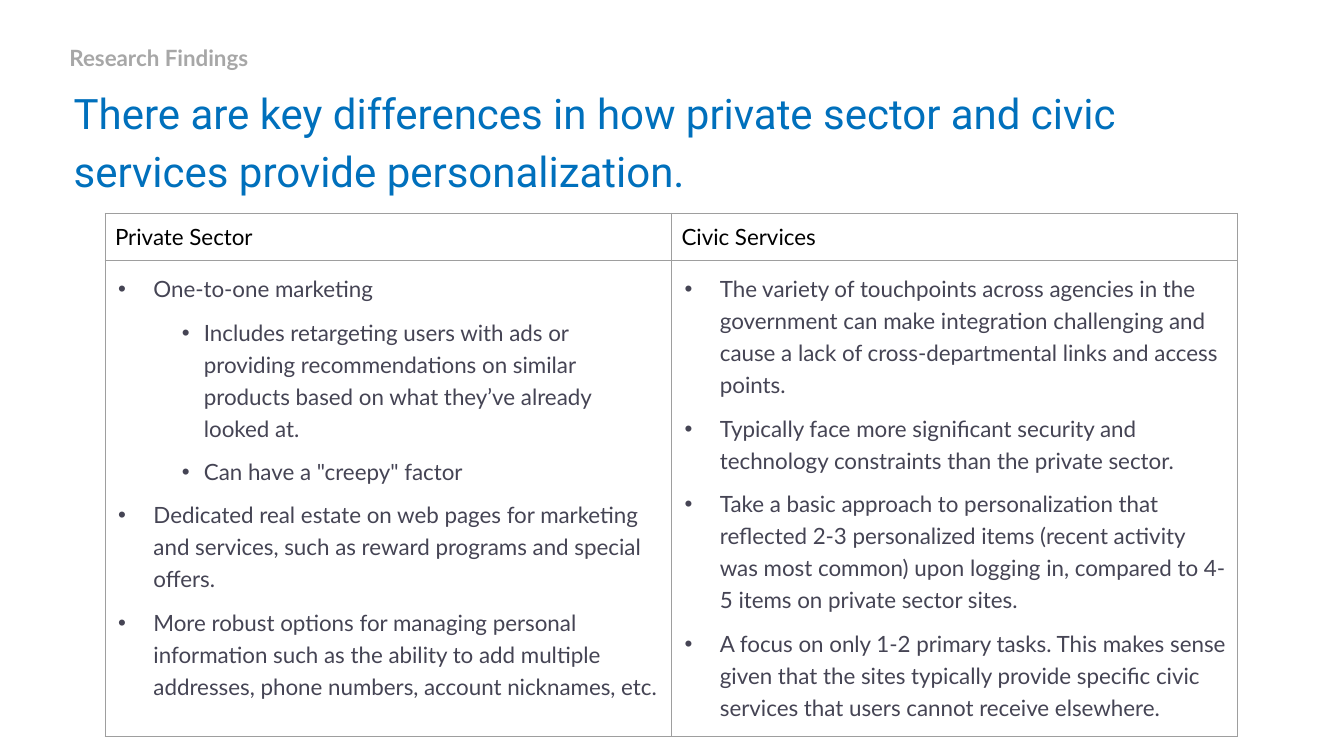
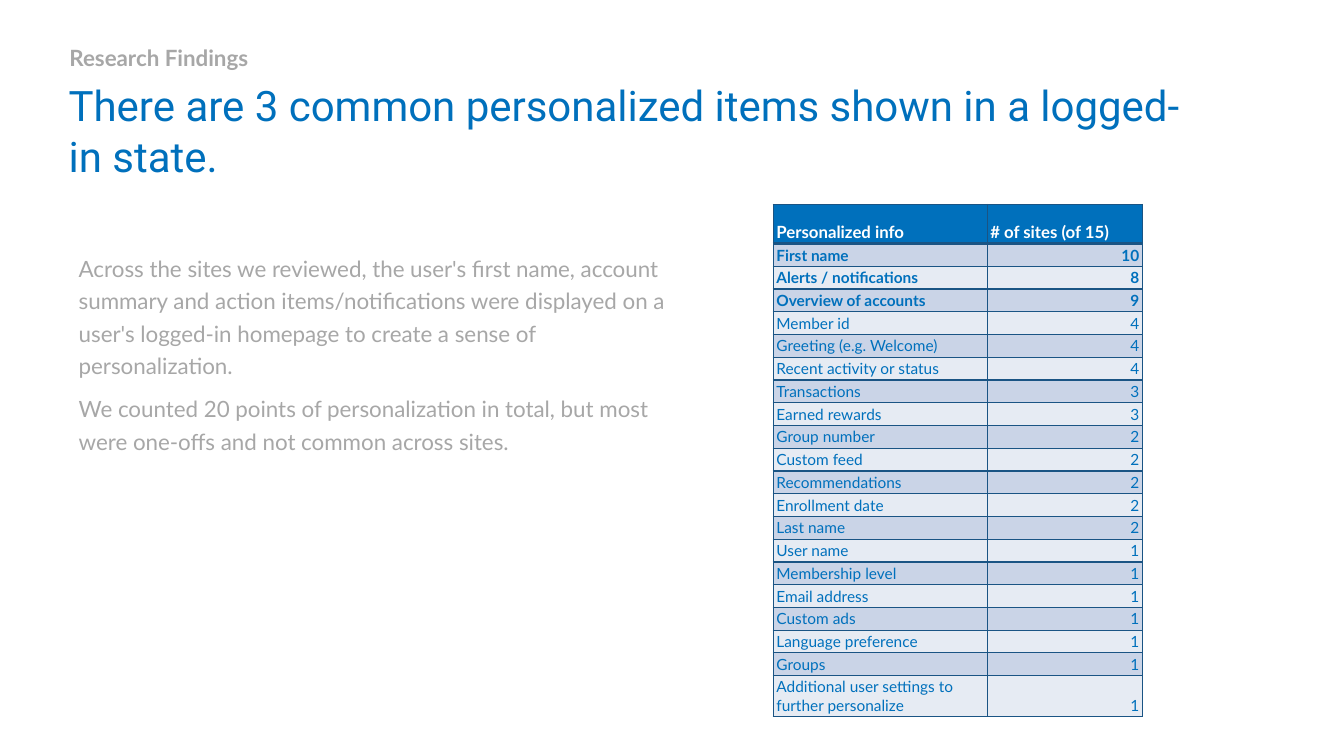
from lxml import etree
from pptx import Presentation
from pptx.dml.color import RGBColor
from pptx.enum.text import MSO_ANCHOR, MSO_AUTO_SIZE, PP_ALIGN
from pptx.oxml.ns import qn
from pptx.util import Pt

TOP, MIDDLE, BOTTOM = MSO_ANCHOR.TOP, MSO_ANCHOR.MIDDLE, MSO_ANCHOR.BOTTOM
LEFT, RIGHT = PP_ALIGN.LEFT, PP_ALIGN.RIGHT
NO_AUTOFIT = MSO_AUTO_SIZE.NONE

BLUE = RGBColor(0x00, 0x70, 0xBC)
GREY = RGBColor(0xA7, 0xA7, 0xA7)
SLATE = RGBColor(0x45, 0x44, 0x54)
BLACK = RGBColor(0x00, 0x00, 0x00)
WHITE = RGBColor(0xFF, 0xFF, 0xFF)
RULE_GREY = RGBColor(0x9E, 0x9E, 0x9E)
RULE_BLUE = RGBColor(0x1A, 0x54, 0x84)
BANDS = [RGBColor(0xCA, 0xD4, 0xE7), RGBColor(0xE6, 0xEB, 0xF3)]

SECTION = "Research Findings"
HEADINGS = [
    ("There are key differences in how private sector and civic services provide personalization.",
     (46, 53.3, 861, 95), 1.15, 3),
    ("There are 3 common personalized items shown in a logged-in state.",
     (45.4, 53.3, 810, 72.7), 1, 0),
]
SECTORS = [
    ("Private Sector", [
        (0, "One-to-one marketing"),
        (1, "Includes retargeting users with ads or providing recommendations on similar "
            "products based on what they’ve already looked at."),
        (1, "Can have a \"creepy\" factor"),
        (0, "Dedicated real estate on web pages for marketing and services, such as reward "
            "programs and special offers."),
        (0, "More robust options for managing personal information such as the ability to add "
            "multiple addresses, phone numbers, account nicknames, etc."),
    ]),
    ("Civic Services", [
        (0, "The variety of touchpoints across agencies in the government can make integration "
            "challenging and cause a lack of cross-departmental links and access points."),
        (0, "Typically face more significant security and technology constraints than the "
            "private sector."),
        (0, "Take a basic approach to personalization that reflected 2-3 personalized items "
            "(recent activity was most common) upon logging in, compared to 4-5 items on "
            "private sector sites."),
        (0, "A focus on only 1-2 primary tasks. This makes sense given that the sites typically "
            "provide specific civic services that users cannot receive elsewhere."),
    ]),
]
BULLET_INDENTS = [(27.4, -25.2), (63.4, -15.8)]
FINDINGS = [
    "Across the sites we reviewed, the user's first name, account summary and action "
    "items/notifications were displayed on a user's logged-in homepage to create a sense of "
    "personalization.",
    "We counted 20 points of personalization in total, but most were one-offs and not common "
    "across sites.",
]
ITEM_COUNTS = [
    ("Personalized info", "# of sites (of 15)"),
    ("First name", 10),
    ("Alerts / notifications", 8),
    ("Overview of accounts", 9),
    ("Member id", 4),
    ("Greeting (e.g. Welcome)", 4),
    ("Recent activity or status", 4),
    ("Transactions", 3),
    ("Earned rewards", 3),
    ("Group number", 2),
    ("Custom feed", 2),
    ("Recommendations", 2),
    ("Enrollment date", 2),
    ("Last name", 2),
    ("User name", 1),
    ("Membership level", 1),
    ("Email address", 1),
    ("Custom ads", 1),
    ("Language preference", 1),
    ("Groups", 1),
    ("Additional user settings to further personalize", 1),
]
COMMON_ITEMS = 3


def write(frame, texts, size, color, font="Lato", bold=False, spacing=1.2, indents=None):
    for i, text in enumerate(texts):
        para = frame.paragraphs[0] if i == 0 else frame.add_paragraph()
        para.text = text
        if indents:
            level, margin, indent = indents[i]
            para.level = level
            props = para._p.get_or_add_pPr()
            props.set("marL", str(Pt(margin)))
            props.set("indent", str(Pt(indent)))
            bullet_color = etree.SubElement(props, qn("a:buClr"))
            etree.SubElement(bullet_color, qn("a:srgbClr"), val=str(color))
            etree.SubElement(props, qn("a:buFont"), typeface="Arial")
            etree.SubElement(props, qn("a:buChar"), char="•")
        para.alignment = LEFT
        para.line_spacing = spacing
        para.space_before = Pt(8 if i else 0)
        para.font.name = font
        para.font.size = Pt(size)
        para.font.bold = bold
        para.font.color.rgb = color


def style_cell(cell, across, down, rule, widths, fill=None):
    cell.margin_left = cell.margin_right = Pt(across)
    cell.margin_top = cell.margin_bottom = Pt(down)
    props = cell._tc.get_or_add_tcPr()
    for side, width in zip("LRTB", widths):
        line = etree.SubElement(props, qn("a:ln" + side), w=str(Pt(width)))
        solid = etree.SubElement(line, qn("a:solidFill"))
        etree.SubElement(solid, qn("a:srgbClr"), val=str(rule))
    if fill is None:
        cell.fill.background()
    else:
        cell.fill.solid()
        cell.fill.fore_color.rgb = fill


prs = Presentation()
prs.slide_width, prs.slide_height = Pt(960), Pt(540)

slides = []
for heading, place, spacing, indent in HEADINGS:
    slide = prs.slides.add_slide(prs.slide_layouts[5])
    slides.append(slide)
    title = slide.shapes.title
    title.left, title.top, title.width, title.height = [Pt(v) for v in place]
    section = slide.shapes.add_textbox(Pt(46), Pt(25.2), Pt(538.6), Pt(28))
    for shape, anchor in ((title, TOP), (section, MIDDLE)):
        frame = shape.text_frame
        frame.word_wrap = True
        frame.auto_size = NO_AUTOFIT
        frame.vertical_anchor = anchor
        frame.margin_left = frame.margin_right = Pt(3.6)
        frame.margin_top = frame.margin_bottom = Pt(3.6)
    write(title.text_frame, [heading], 30, BLUE, font="Roboto", spacing=spacing)
    title.text_frame.paragraphs[0]._p.get_or_add_pPr().set("marL", str(Pt(indent)))
    write(section.text_frame, [SECTION], 16, GREY, bold=True)

differences, common = slides

sectors = differences.shapes.add_table(2, 2, Pt(75), Pt(152.4), Pt(809.2), Pt(373.6)).table
sectors.first_row = sectors.horz_banding = False
for row, height in zip(sectors.rows, (33.6, 340)):
    row.height = Pt(height)
for col, (sector, points) in enumerate(SECTORS):
    sectors.columns[col].width = Pt(404.6)
    head, body = sectors.cell(0, col), sectors.cell(1, col)
    for cell in (head, body):
        style_cell(cell, 7.2, 7.2, RULE_GREY, [0.75] * 4)
    write(head.text_frame, [sector], 16, BLACK, spacing=1)
    write(body.text_frame, [text for _, text in points], 16, SLATE,
          indents=[(level, *BULLET_INDENTS[level]) for level, _ in points])

findings = common.shapes.add_textbox(Pt(52.6), Pt(175), Pt(433.4), Pt(203)).text_frame
findings.word_wrap = True
findings.margin_left = findings.margin_right = Pt(3.6)
findings.margin_top = findings.margin_bottom = Pt(3.6)
write(findings, FINDINGS, 16, GREY)

last = len(ITEM_COUNTS) - 1
counts = common.shapes.add_table(last + 1, 2, Pt(552.4), Pt(146), Pt(263.6), Pt(366.2)).table
counts.first_row = counts.horz_banding = False
for column, width in zip(counts.columns, (152.8, 110.8)):
    column.width = Pt(width)
for r, values in enumerate(ITEM_COUNTS):
    is_head = r == 0
    counts.rows[r].height = Pt({0: 28, last: 29.4}.get(r, 16.25))
    for c, value in enumerate(values):
        cell = counts.cell(r, c)
        style_cell(cell, 2.2, 1.4, RULE_BLUE, [1, 1, 3 if r == 1 else 1, 3 if is_head else 1],
                   BLUE if is_head else BANDS[(r - 1) % 2])
        cell.vertical_anchor = BOTTOM
        write(cell.text_frame, [str(value)], 12 if is_head else 11, WHITE if is_head else BLUE,
              bold=r <= COMMON_ITEMS, spacing=1)
        if c == 1 and not is_head:
            cell.text_frame.paragraphs[0].alignment = RIGHT

prs.save("out.pptx")
